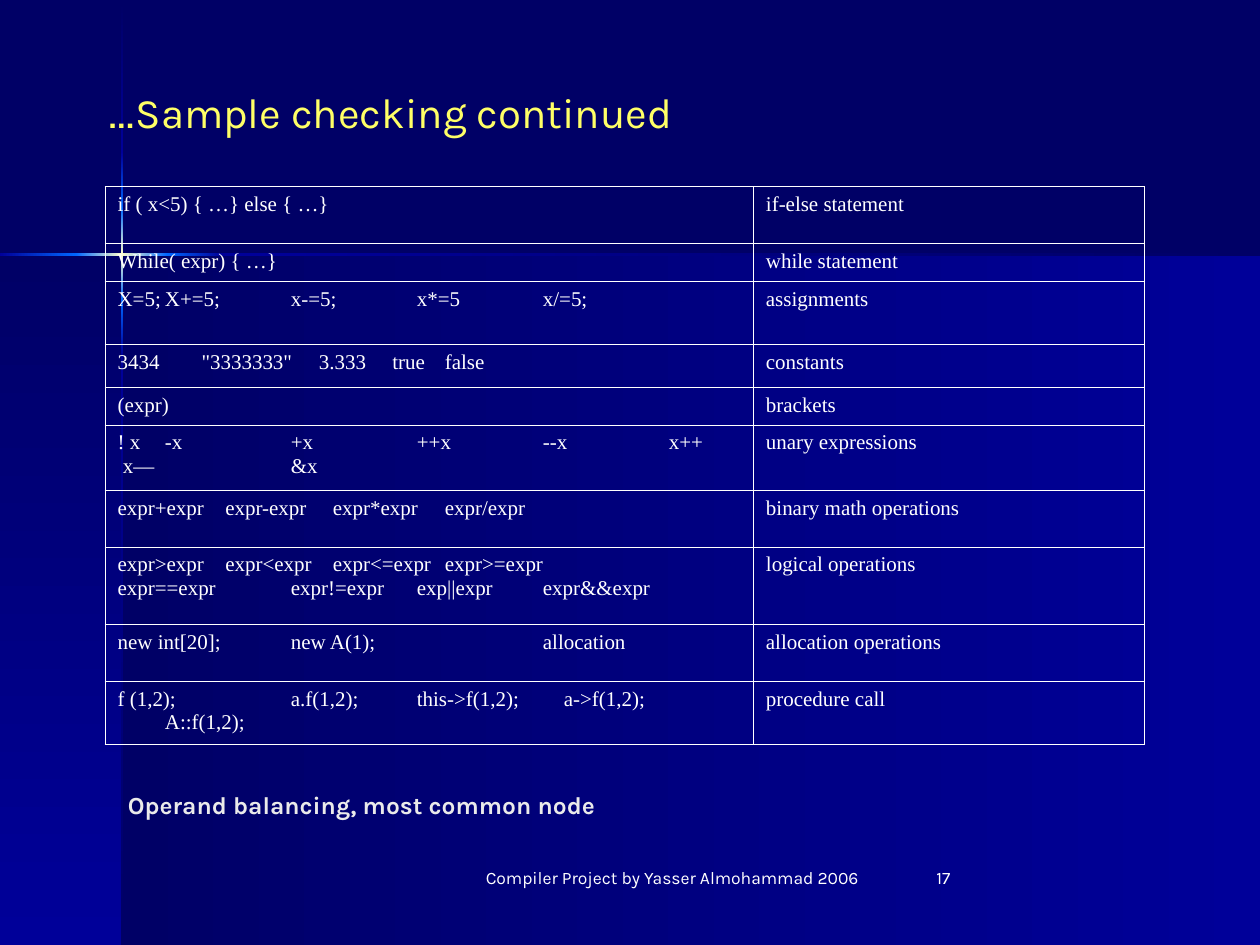
import pptx
import pptx.util
import pptx.dml.color
import pptx.enum.shapes
import pptx.enum.text
import pptx.oxml
import pptx.oxml.ns
from dataclasses import dataclass

Pt = pptx.util.Pt
ALIGN = pptx.enum.text.PP_ALIGN
ANCHOR = pptx.enum.text.MSO_ANCHOR
NAMESPACE = pptx.oxml.ns.nsdecls("a")


@dataclass(frozen=True)
class Theme:
    night: str = "000066"
    blue: str = "000099"
    glow: str = "0066FF"
    flare: str = "FFFFCC"
    heading: str = "FFFF66"
    note: str = "EAEAEA"
    white: str = "FFFFFF"
    font: str = "Karla"
    table_font: str = "Times New Roman"
    heading_size: float = 24
    note_size: float = 14
    table_size: float = 12
    footer_size: float = 10
    border: float = 0.45


class SlideBuilder:
    def __init__(self, deck, theme):
        self.theme = theme
        self.slide = deck.slides.add_slide(deck.slide_layouts[5])
        fill = self.slide.background.fill
        fill.solid()
        fill.fore_color.rgb = pptx.dml.color.RGBColor.from_string(theme.night)

    def style(self, para, size, color, font, bold=False, align=ALIGN.LEFT):
        para.alignment = align
        for span in para.runs:
            span.font.size = Pt(size)
            span.font.name = font
            span.font.bold = bold
            span.font.color.rgb = pptx.dml.color.RGBColor.from_string(color)

    def gradient(self, left, top, width, height, colors, angle):
        band = self.slide.shapes.add_shape(
            pptx.enum.shapes.MSO_SHAPE.RECTANGLE, Pt(left), Pt(top), Pt(width), Pt(height))
        band.shadow.inherit = False
        band.line.fill.background()
        step = 100000 // (len(colors) - 1)
        stops = "".join(
            f'<a:gs pos="{index * step}"><a:srgbClr val="{color}"/></a:gs>'
            for index, color in enumerate(colors))
        fill = pptx.oxml.parse_xml(
            f'<a:gradFill {NAMESPACE} rotWithShape="1"><a:gsLst>{stops}</a:gsLst>'
            f'<a:lin ang="{angle * 60000}" scaled="0"/></a:gradFill>')
        band.element.spPr.find(pptx.oxml.ns.qn("a:prstGeom")).addnext(fill)

    def fill_box(self, box, text, size, color, bold=False, align=ALIGN.LEFT,
                 anchor=ANCHOR.TOP, right_to_left=False):
        frame = box.text_frame
        frame.word_wrap = True
        frame.auto_size = pptx.enum.text.MSO_AUTO_SIZE.NONE
        frame.vertical_anchor = anchor
        frame.text = text
        para = frame.paragraphs[0]
        self.style(para, size, color, self.theme.font, bold, align)
        if right_to_left:
            para._p.get_or_add_pPr().set("rtl", "1")

    def title(self, text, left, top, width, height):
        box = self.slide.shapes.title
        box.left, box.top, box.width, box.height = map(Pt, (left, top, width, height))
        self.slide.shapes._spTree.append(box.element)  # bring above the backdrop
        self.fill_box(box, text, self.theme.heading_size, self.theme.heading,
                      anchor=ANCHOR.MIDDLE, right_to_left=True)

    def text(self, text, left, top, width, height, size, color, **options):
        box = self.slide.shapes.add_textbox(Pt(left), Pt(top), Pt(width), Pt(height))
        self.fill_box(box, text, size, color, **options)

    def cell(self, cell, lines):
        cell.fill.background()
        cell.text_frame.text = "\n".join(text for text, stops in lines)
        for para, (text, stops) in zip(cell.text_frame.paragraphs, lines):
            self.style(para, self.theme.table_size, self.theme.white, self.theme.table_font)
            if "\t" in text:
                tabs = "".join(f'<a:tab pos="{Pt(stop)}" algn="l"/>' for stop in stops)
                para._p.get_or_add_pPr().append(
                    pptx.oxml.parse_xml(f"<a:tabLst {NAMESPACE}>{tabs}</a:tabLst>"))
        properties = cell._tc.get_or_add_tcPr()
        for index, side in enumerate(("lnL", "lnR", "lnT", "lnB")):
            properties.insert(index, pptx.oxml.parse_xml(
                f'<a:{side} {NAMESPACE} w="{Pt(self.theme.border)}"><a:solidFill>'
                f'<a:srgbClr val="{self.theme.white}"/></a:solidFill></a:{side}>'))

    def table(self, rows, left, top, widths):
        heights = [height for height, lines, label in rows]
        table = self.slide.shapes.add_table(
            len(rows), len(widths), Pt(left), Pt(top), Pt(sum(widths)), Pt(sum(heights))).table
        table.first_row = table.horz_banding = False
        for column, width in zip(table.columns, widths):
            column.width = Pt(width)
        for index, (height, lines, label) in enumerate(rows):
            table.rows[index].height = Pt(height)
            self.cell(table.cell(index, 0), lines)
            self.cell(table.cell(index, 1), [(label, ())])


# Tab stops: an inch apart after the first, or fitted to the row
REGULAR = [27 + 72 * index for index in range(5)]
CONSTANTS = (48, 115, 157, 187)
OPERATORS = (61.5, 123, 187)
CALLS = (27, 99, 171, 255)

# Row height, example lines with their tab stops, and label
ROWS = [
    (32.5, [("if ( x<5) { …} else { …}", ())], "if-else statement"),
    (21.7, [("While( expr) { …}", ())], "while statement"),
    (36, [("X=5;\tX+=5;\tx-=5;\tx*=5\tx/=5;", REGULAR)], "assignments"),
    (24.5, [('3434\t"3333333"\t3.333\ttrue\tfalse', CONSTANTS)], "constants"),
    (21.7, [("(expr)", ())], "brackets"),
    (37.2, [("! x\t-x\t+x\t++x\t--x\tx++", REGULAR), (" x—\t\t&x", REGULAR)],
     "unary expressions"),
    (32.5, [("expr+expr\texpr-expr\texpr*expr\texpr/expr", OPERATORS)],
     "binary math operations"),
    (44.5, [("expr>expr\texpr<expr\texpr<=expr\texpr>=expr", OPERATORS),
            ("expr==expr\texpr!=expr\texp||expr\texpr&&expr", REGULAR)], "logical operations"),
    (32.5, [("new int[20];\tnew A(1);\t\tallocation", REGULAR)], "allocation operations"),
    (36, [("f (1,2);\ta.f(1,2);\tthis->f(1,2);\ta->f(1,2);\v\tA::f(1,2);", CALLS)],
     "procedure call"),
]


def main():
    deck = pptx.Presentation()
    deck.slide_width, deck.slide_height = Pt(720), Pt(540)
    theme = Theme()
    page = SlideBuilder(deck, theme)

    # Backdrop panels
    night, blue, glow, flare = theme.night, theme.blue, theme.glow, theme.flare
    page.gradient(70, 145.5, 650, 394.5, (blue, night), 180)
    page.gradient(0, 145.5, 70, 394.5, (night, blue), 90)

    # Glowing cross: vertical beam, then horizontal beam
    for top, bottom, colors in (
            (0.5, 87, (night, blue)), (203, 540, (blue, night)), (171.5, 203, (glow, blue)),
            (87, 119, (blue, glow)), (119, 171.5, (glow, flare, glow))):
        page.gradient(69, top, 1.5, bottom - top, colors, 90)
    for left, right, colors in (
            (127.5, 720, (night, blue)), (0, 43.5, (glow, blue)),
            (95.5, 127.5, (blue, glow)), (43.5, 95.5, (glow, flare, glow))):
        page.gradient(left, 144.7, right - left, 1.5, colors, 180)

    # Table of checked statements
    page.table(ROWS, 60, 106.5, (370.5, 223.5))

    # Title, closing note and footer
    page.title("Sample checking continued…", 54, 7.5, 594, 113)
    page.text("Operand balancing, most common node", 66, 403.5, 594, 113,
              theme.note_size, theme.note, bold=True, anchor=ANCHOR.MIDDLE, right_to_left=True)
    page.text("Compiler Project by Yasser Almohammad 2006", 270, 492, 228, 36,
              theme.footer_size, theme.white, align=ALIGN.CENTER)
    page.text("17", 528, 492, 150, 36, theme.footer_size, theme.white)

    deck.save("out.pptx")


if __name__ == "__main__":
    main()
